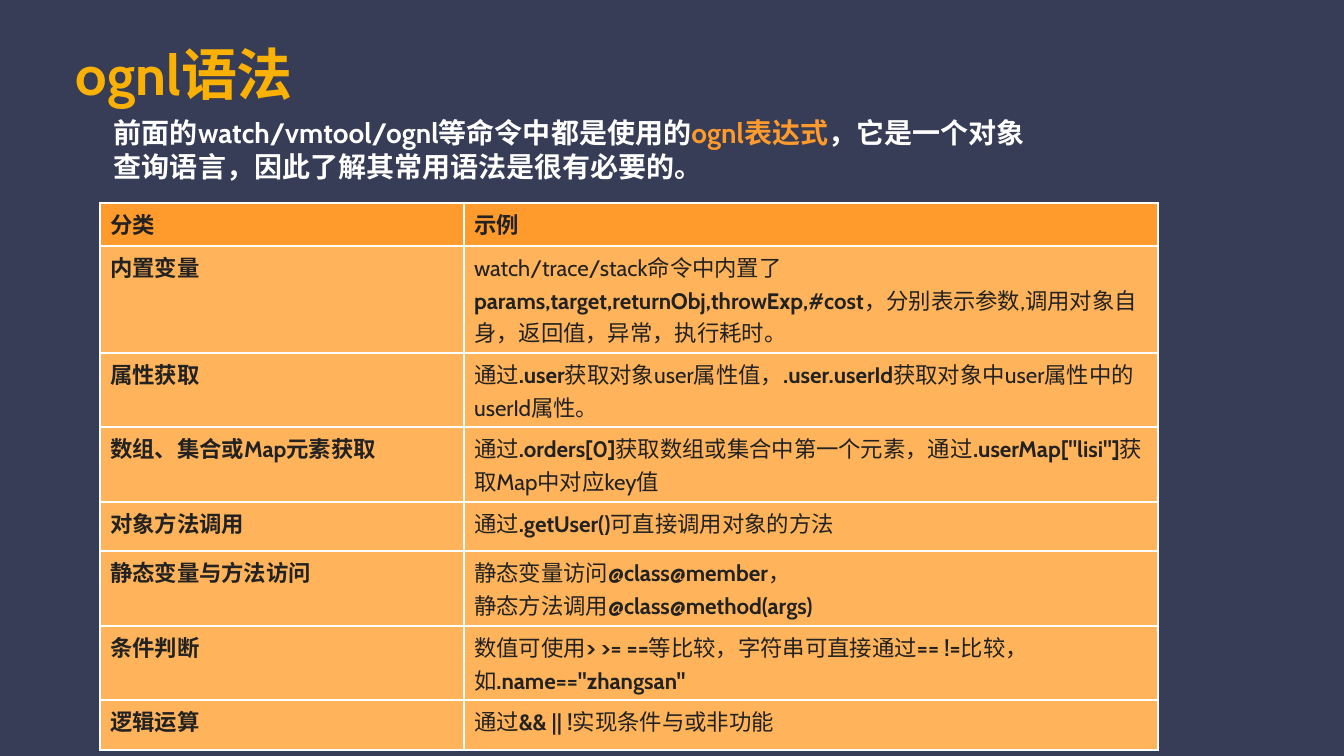
from lxml import etree
from pptx import Presentation
from pptx.dml.color import RGBColor
from pptx.enum.text import MSO_ANCHOR
from pptx.oxml.ns import qn
from pptx.util import Pt

PX = 914400 / 100.8
MIDDLE = MSO_ANCHOR.MIDDLE
NAVY, GOLD, ORANGE, PEACH = "373D56", "FBB103", "FF9A2D", "FFB35A"
WHITE, INK = "FFFFFF", "222222"


def px(length):
    return round(length * PX)


def add_text(paragraph, text, size=16, color=INK, bold=True):
    run = paragraph.add_run()
    run.text = text
    run.font.name = "Cabin"
    run.font.size = Pt(size)
    run.font.bold = bold
    run.font.color.rgb = RGBColor.from_string(color)


prs = Presentation()
prs.slide_width, prs.slide_height = px(1344), px(756)
slide = prs.slides.add_slide(prs.slide_layouts[6])
slide.background.fill.solid()
slide.background.fill.fore_color.rgb = RGBColor.from_string(NAVY)

title = [("ognl语法", GOLD)]
intro = [
    ("前面的watch/vmtool/ognl等命令中都是使用的", WHITE),
    ("ognl表达式", ORANGE),
    ("，它是一个对象查询语言，因此了解其常用语法是很有必要的。", WHITE),
]
for pieces, size, inset, bounds in [
    (title, 40, 8, (68, 35, 1173, 77)),
    (intro, 20, 6, (108, 100, 936, 98)),
]:
    frame = slide.shapes.add_textbox(*map(px, bounds)).text_frame
    frame.word_wrap = True
    frame.vertical_anchor = MIDDLE
    frame.margin_left = frame.margin_right = px(inset)
    frame.margin_top = frame.margin_bottom = px(inset)
    for text, color in pieces:
        add_text(frame.paragraphs[0], text, size=size, color=color)

syntax_rows = [
    (43, "*分类*", "*示例*"),
    (107, "*内置变量*", "watch/trace/stack命令中内置了*params,target,returnObj,throwExp,#cost*，分别表示参数,调用对象自身，返回值，异常，执行耗时。"),
    (74, "*属性获取*", "通过*.user*获取对象user属性值，*.user.userId*获取对象中user属性中的userId属性。"),
    (75, "*数组、集合或Map元素获取*", '通过*.orders[0]*获取数组或集合中第一个元素，通过*.userMap["lisi"]*获取Map中对应key值'),
    (49, "*对象方法调用*", "通过*.getUser()*可直接调用对象的方法"),
    (75, "*静态变量与方法访问*", "静态变量访问*@class@member*，\n静态方法调用*@class@method(args)*"),
    (74, "*条件判断*", '数值可使用*> >= ==*等比较，字符串可直接通过*== !=*比较，如*.name=="zhangsan"*'),
    (50, "*逻辑运算*", "通过*&& || !*实现条件与或非功能"),
]
table_height = sum(height for height, *_ in syntax_rows)
syntax = slide.shapes.add_table(
    len(syntax_rows), 2, px(100), px(203), px(1058), px(table_height)
).table
syntax.columns[0].width, syntax.columns[1].width = px(364), px(694)

for row, (height, *texts) in enumerate(syntax_rows):
    syntax.rows[row].height = px(height)
    for column, text in enumerate(texts):
        cell = syntax.cell(row, column)
        properties = cell._tc.get_or_add_tcPr()
        for side in ("a:lnL", "a:lnR", "a:lnT", "a:lnB"):
            border = etree.SubElement(properties, qn(side), w=str(Pt(1.5)))
            border_fill = etree.SubElement(border, qn("a:solidFill"))
            etree.SubElement(border_fill, qn("a:srgbClr"), val=WHITE)
        cell.fill.solid()
        cell.fill.fore_color.rgb = RGBColor.from_string(PEACH if row else ORANGE)
        for index, line in enumerate(text.split("\n")):
            frame = cell.text_frame
            paragraph = frame.add_paragraph() if index else frame.paragraphs[0]
            for part, piece in enumerate(line.split("*")):
                if piece:
                    add_text(paragraph, piece, bold=part % 2 == 1)

prs.save("out.pptx")
